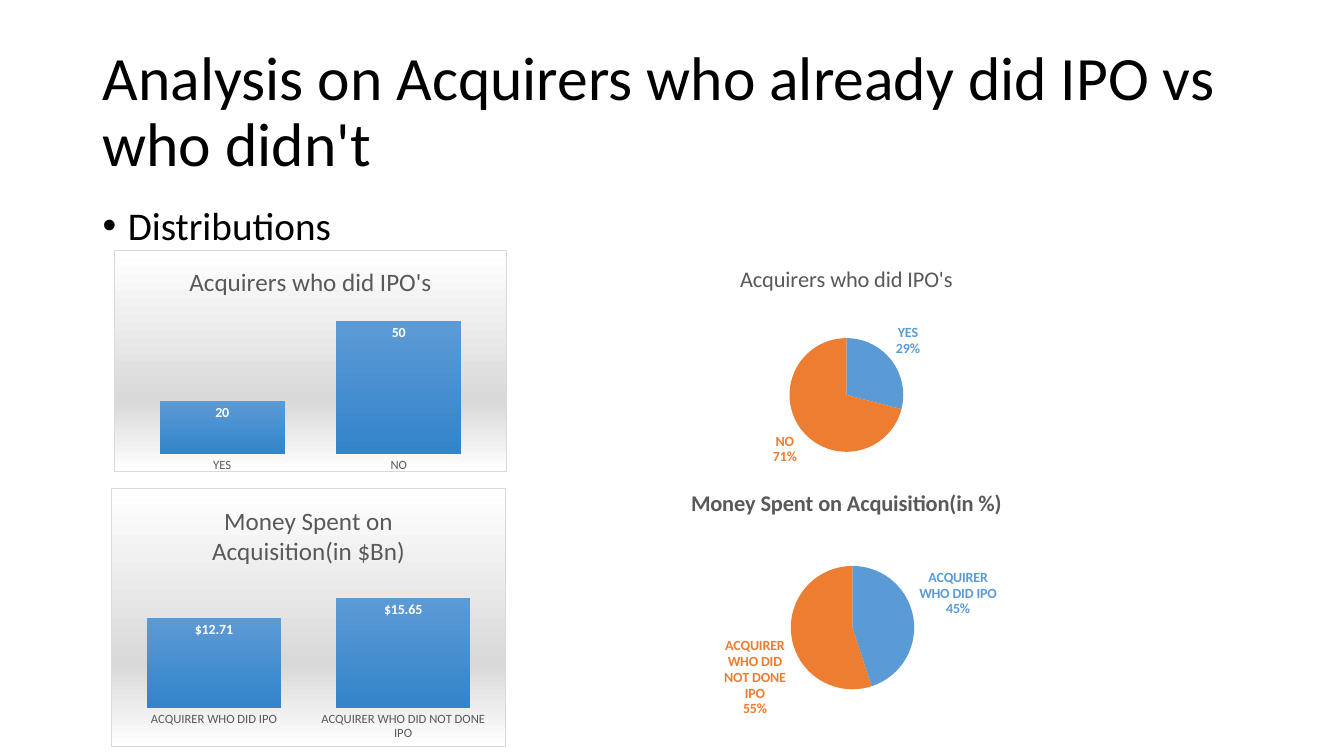
import lxml.etree
import pptx
import pptx.chart.data
import pptx.dml.color
import pptx.enum.chart
import pptx.enum.text
import pptx.oxml
import pptx.oxml.ns
import pptx.util

Inches = pptx.util.Inches
Pt = pptx.util.Pt
qn = pptx.oxml.ns.qn

COLORS = {
    "text": "000000", "muted": "595959", "border": "D9D9D9", "white": "FFFFFF",
    "blue": "5B9BD5", "deep_blue": "3483CB", "orange": "ED7D31",
}
FONT = "Calibri"
PANEL_STOPS = [(0, "white"), (68, "border"), (100, "white")]
BAR_STOPS = [(0, "blue"), (100, "deep_blue")]
IPO_ANSWERS = ["YES", "NO"]
ACQUIRERS = ["ACQUIRER WHO DID IPO", "ACQUIRER WHO DID NOT DONE IPO"]


def vertical_gradient(stops):
    """Return the XML of a top-to-bottom gradient fill."""
    stops_xml = "".join(
        f'<a:gs pos="{percent * 1000}"><a:srgbClr val="{COLORS[color]}"/></a:gs>'
        for percent, color in stops)
    return f'<a:gradFill><a:gsLst>{stops_xml}</a:gsLst><a:lin ang="5400000" scaled="0"/></a:gradFill>'


def shape_properties(content):
    """Return a chart part's c:spPr element around the given XML."""
    return pptx.oxml.parse_xml(
        f'<c:spPr {pptx.oxml.ns.nsdecls("c", "a")}>{content}</c:spPr>')


class SlideBuilder:
    def __init__(self, slide):
        self.slide = slide

    def style_font(self, font, size, color, bold=False):
        font.name = FONT
        font.size = Pt(size)
        font.bold = bold
        font.color.rgb = pptx.dml.color.RGBColor.from_string(COLORS[color])

    def add_text(self, text, box, size, middle=False, bullet=False):
        frame = self.slide.shapes.add_textbox(*map(Inches, box)).text_frame
        frame.word_wrap = True
        if middle:
            frame.vertical_anchor = pptx.enum.text.MSO_ANCHOR.MIDDLE
        paragraph = frame.paragraphs[0]
        paragraph.text = text
        paragraph.line_spacing = 0.9
        if bullet:
            paragraph.space_before = Pt(10)
            properties = paragraph._p.get_or_add_pPr()
            properties.set("marL", str(Inches(0.25)))
            properties.set("indent", str(Inches(-0.25)))
            lxml.etree.SubElement(properties, qn("a:buFont")).set("typeface", "Arial")
            lxml.etree.SubElement(properties, qn("a:buChar")).set("char", "•")
        self.style_font(paragraph.font, size, "text")

    def add_chart(self, kind, title, categories, values, box, plot_box,
                  title_size, title_bold=False):
        data = pptx.chart.data.CategoryChartData()
        data.categories = categories
        data.add_series("Series 1", values)
        chart = self.slide.shapes.add_chart(kind, *map(Inches, box), data).chart
        self.style_font(chart.font, 10, "text")
        chart.has_legend = False
        chart.has_title = True
        chart.chart_title.include_in_layout = False
        paragraph = chart.chart_title.text_frame.paragraphs[0]
        paragraph.text = title
        self.style_font(paragraph.font, title_size, "muted", title_bold)
        self.place_plot(chart, plot_box)
        return chart

    def place_plot(self, chart, plot_box):
        """Fix the inner plot area, as fractions of the chart."""
        plot_area = chart._chartSpace.chart.plotArea
        for layout in plot_area.findall(qn("c:layout")):
            plot_area.remove(layout)
        sizes = "".join(f'<c:{name} val="{value}"/>'
                        for name, value in zip("xywh", plot_box))
        plot_area.insert(0, pptx.oxml.parse_xml(
            f'<c:layout {pptx.oxml.ns.nsdecls("c")}><c:manualLayout>'
            '<c:layoutTarget val="inner"/><c:xMode val="edge"/><c:yMode val="edge"/>'
            f'{sizes}</c:manualLayout></c:layout>'))

    def add_columns(self, title, categories, values, box, plot_box, maximum, number_format):
        chart = self.add_chart(pptx.enum.chart.XL_CHART_TYPE.COLUMN_CLUSTERED,
                               title, categories, values, box, plot_box, 18)
        border = (f'<a:ln w="{Pt(0.75)}"><a:solidFill><a:srgbClr val="{COLORS["border"]}"/>'
                  '</a:solidFill></a:ln>')
        chart._chartSpace.chart.addnext(
            shape_properties(vertical_gradient(PANEL_STOPS) + border))

        chart.value_axis.visible = False
        chart.value_axis.has_major_gridlines = False
        chart.value_axis.minimum_scale = 0
        chart.value_axis.maximum_scale = maximum
        axis = chart.category_axis
        axis.major_tick_mark = pptx.enum.chart.XL_TICK_MARK.NONE
        axis.format.line.fill.background()
        self.style_font(axis.tick_labels.font, 9, "muted")

        plot = chart.plots[0]
        plot.gap_width = 41
        plot.vary_by_categories = False
        bars = plot.series[0]
        bars.format.fill.solid()
        old_properties = bars._element.find(qn("c:spPr"))
        bars._element.replace(old_properties,
                              shape_properties(vertical_gradient(BAR_STOPS)))
        labels = bars.data_labels
        labels.show_value = True
        labels.position = pptx.enum.chart.XL_LABEL_POSITION.INSIDE_END
        labels.number_format = number_format
        labels.number_format_is_linked = False
        self.style_font(labels.font, 10, "white", True)

    def add_pie(self, title, categories, values, box, plot_box, title_bold=False):
        chart = self.add_chart(pptx.enum.chart.XL_CHART_TYPE.PIE, title, categories,
                               values, box, plot_box, 16, title_bold)
        plot = chart.plots[0]
        plot.vary_by_categories = True
        slices = plot.series[0]
        for index, color in enumerate(["blue", "orange"]):
            point = slices.points[index]
            point.format.fill.solid()
            point.format.fill.fore_color.rgb = pptx.dml.color.RGBColor.from_string(COLORS[color])
            self.style_font(point.data_label.font, 10, color, True)
            point.data_label.position = pptx.enum.chart.XL_LABEL_POSITION.OUTSIDE_END
        for label in slices._element.iter(qn("c:dLbl")):
            for name, shown in (("Val", 0), ("CatName", 1), ("Percent", 1)):
                label.find(qn(f"c:show{name}")).set("val", str(shown))
            separator = lxml.etree.SubElement(label, qn("c:separator"))
            separator.text = "\n"


def main():
    presentation = pptx.Presentation()
    presentation.slide_width = Inches(13.33)
    presentation.slide_height = Inches(7.5)
    builder = SlideBuilder(presentation.slides.add_slide(presentation.slide_layouts[6]))

    builder.add_text("Analysis on Acquirers who already did IPO vs who didn't",
                     (0.92, 0.4, 11.5, 1.45), 44, middle=True)
    builder.add_text("Distributions", (0.92, 2, 11.5, 5.5), 28, bullet=True)

    builder.add_columns("Acquirers who did IPO's", IPO_ANSWERS, [20, 50],
                        (1.13, 2.48, 3.9, 2.21), (0.05, 0.2, 0.9, 0.72), 60, "General")
    builder.add_pie("Acquirers who did IPO's", IPO_ANSWERS, [29, 71],
                    (6.38, 2.48, 4.03, 2.36), (0.36, 0.37, 0.28, 0.48))
    builder.add_columns("Money Spent on Acquisition(in $Bn)", ACQUIRERS, [12.71, 15.65],
                        (1.1, 4.84, 3.92, 2.57), (0.02, 0.36, 0.96, 0.49), 18, "$#,##0.00")
    builder.add_pie("Money Spent on Acquisition(in %)", ACQUIRERS, [45, 55],
                    (6.38, 4.69, 4.03, 2.72), (0.36, 0.34, 0.31, 0.45), title_bold=True)
    presentation.save("out.pptx")


if __name__ == "__main__":
    main()
